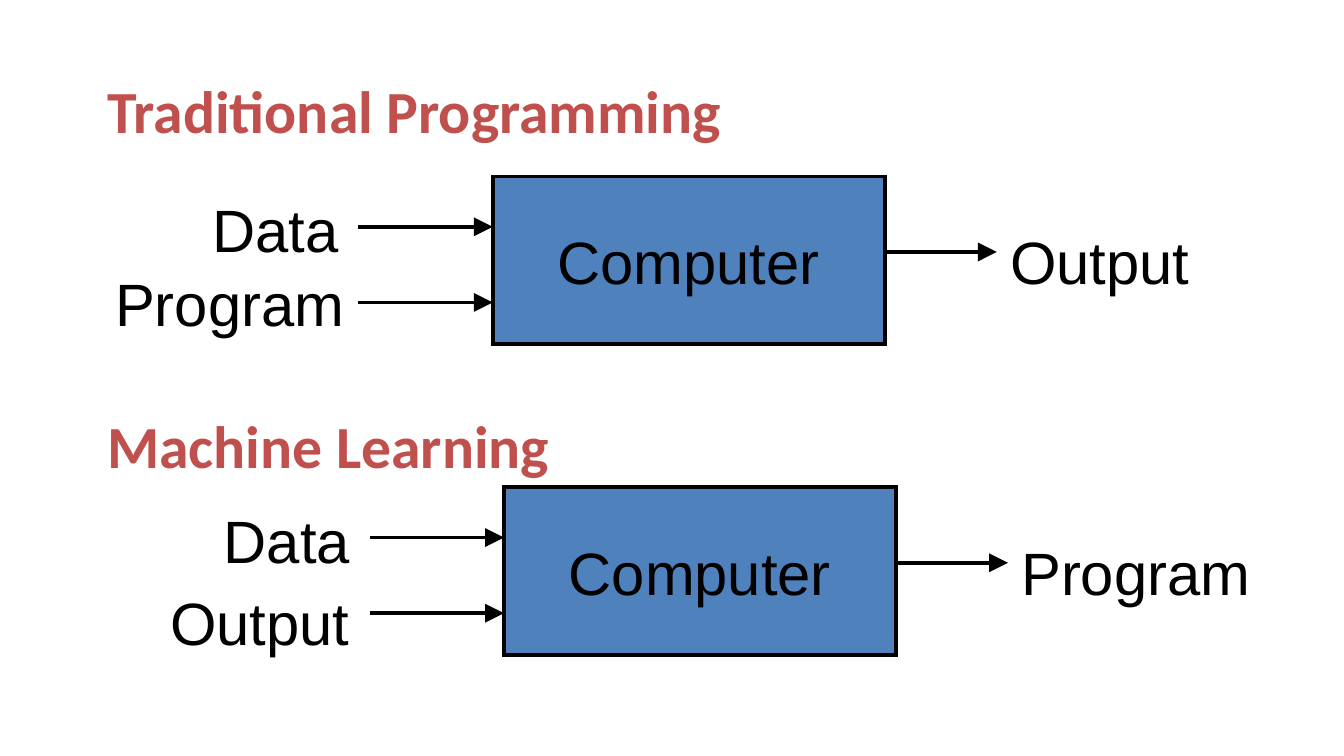
import pptx
import pptx.util
from dataclasses import dataclass
from lxml import etree
from pptx.dml.color import RGBColor
from pptx.enum.shapes import MSO_CONNECTOR, MSO_SHAPE
from pptx.enum.text import MSO_ANCHOR, PP_ALIGN
from pptx.oxml.ns import qn


@dataclass(frozen=True)
class Theme:
    heading: RGBColor = RGBColor(0xC0, 0x50, 0x4D)
    box: RGBColor = RGBColor(0x4F, 0x81, 0xBD)
    ink: RGBColor = RGBColor(0, 0, 0)
    heading_font: str = "Calibri"
    label_font: str = "Arial"
    size: int = 32
    line_width: int = 2


class FlowSlide:
    """A slide laid out on a grid of twelve cells to the inch."""

    def __init__(self, slide, theme):
        self.slide = slide
        self.theme = theme

    @staticmethod
    def grid(*cells):
        return [pptx.util.Inches(cell / 12) for cell in cells]

    def style(self, paragraph, font_name, color, bold=False):
        font = paragraph.font
        font.name = font_name
        font.size = pptx.util.Pt(self.theme.size)
        font.color.rgb = color
        font.bold = bold

    def outline(self, line):
        line.color.rgb = self.theme.ink
        line.width = pptx.util.Pt(self.theme.line_width)
        ln = line._get_or_add_ln()
        etree.SubElement(ln, qn("a:miter")).set("lim", "800000")
        return ln

    def headings(self, texts, gap, col, row, cols, rows):
        frame = self.slide.shapes.add_textbox(*self.grid(col, row, cols, rows)).text_frame
        frame.word_wrap = True
        for index, text in enumerate(texts):
            heading = frame.add_paragraph() if index else frame.paragraphs[0]
            heading.text = text
            if index:
                heading.space_before = pptx.util.Pt(gap)
            self.style(heading, self.theme.heading_font, self.theme.heading, bold=True)

    def label(self, text, col, row, cols):
        frame = self.slide.shapes.add_textbox(*self.grid(col, row, cols, 7.5)).text_frame
        frame.word_wrap = False
        frame.text = text
        self.style(frame.paragraphs[0], self.theme.label_font, self.theme.ink)

    def box(self, text, col, row, cols, rows):
        machine = self.slide.shapes.add_shape(
            MSO_SHAPE.RECTANGLE, *self.grid(col, row, cols, rows))
        machine.shadow.inherit = False
        machine.fill.solid()
        machine.fill.fore_color.rgb = self.theme.box
        self.outline(machine.line)
        frame = machine.text_frame
        frame.word_wrap = False
        frame.vertical_anchor = MSO_ANCHOR.MIDDLE
        frame.text = text
        frame.paragraphs[0].alignment = PP_ALIGN.CENTER
        self.style(frame.paragraphs[0], self.theme.label_font, self.theme.ink)

    def arrow(self, start_col, end_col, row):
        arrow = self.slide.shapes.add_connector(
            MSO_CONNECTOR.STRAIGHT, *self.grid(start_col, row, end_col, row))
        head = etree.SubElement(self.outline(arrow.line), qn("a:tailEnd"))
        for key, value in (("type", "triangle"), ("w", "lg"), ("len", "lg")):
            head.set(key, value)
        etree.SubElement(arrow._element.spPr, qn("a:effectLst"))

    def flow(self, col, row, inputs, result):
        """Two inputs, the computer and its result, from the box's top left corner."""
        box_cols, box_rows = 35, 15
        self.box("Computer", col, row, box_cols, box_rows)
        for arrow_row in (4.5, 11.25):
            self.arrow(col - 12, col, row + arrow_row)
        self.arrow(col + box_cols, col + box_cols + 10, row + 6.75)
        for text, label_col, label_row in inputs:
            self.label(text, col + label_col, row + label_row, LABEL_COLS[text])
        self.label(result, col + box_cols + 10, row + 3.75, LABEL_COLS[result])


LABEL_COLS = {"Data": 13.7, "Program": 23.2, "Output": 18.4}


def main():
    deck = pptx.Presentation()
    deck.slide_width, deck.slide_height = FlowSlide.grid(120, 67.5)
    page = FlowSlide(deck.slides.add_slide(deck.slide_layouts[6]), Theme())

    # Headings of both approaches
    page.headings(["Traditional Programming", "Machine Learning"], 141,
                  col=8.4, row=6, cols=108, rows=61)

    # Traditional programming: data and program give output
    page.flow(44, 15.75, [("Data", -26.2, 0.9), ("Program", -34.9, 7.5)], "Output")

    # Machine learning: data and output give a program
    page.flow(45, 43.5, [("Data", -26.2, 0.9), ("Output", -31, 8.25)], "Program")

    deck.save("out.pptx")


if __name__ == "__main__":
    main()
